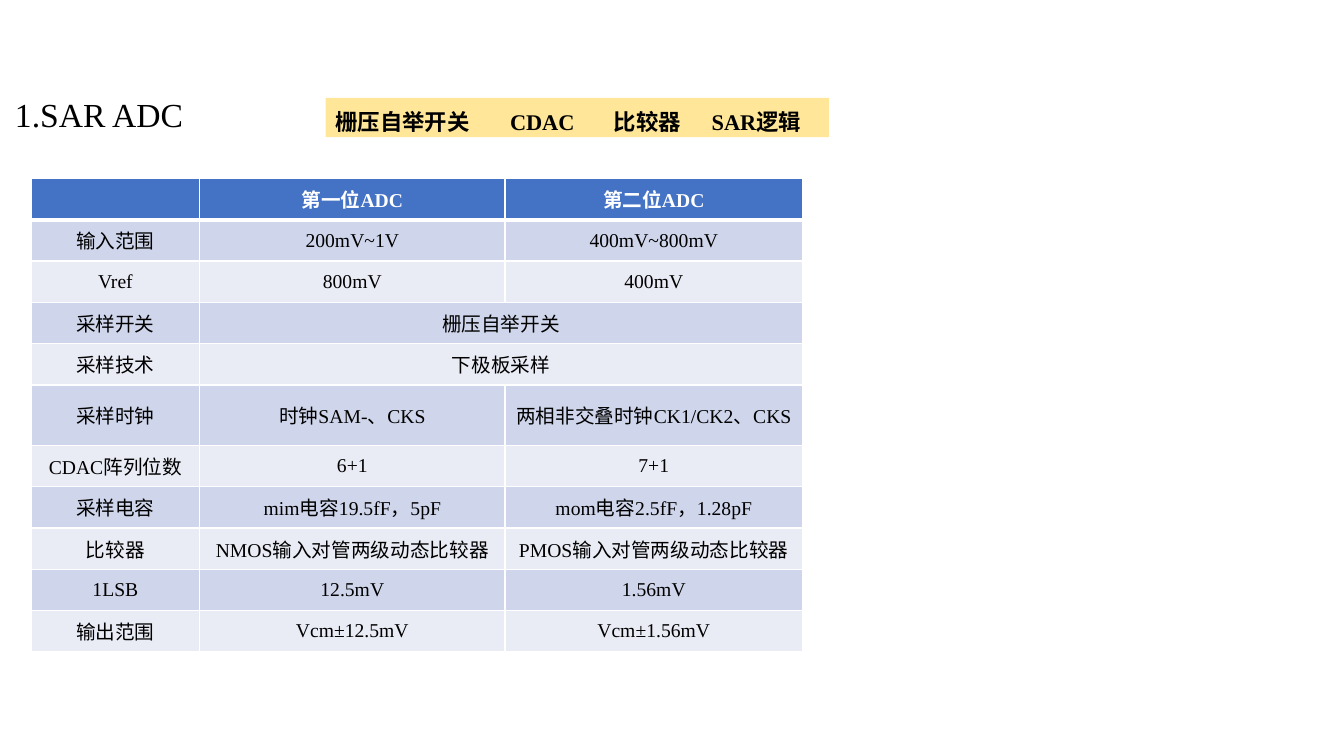
from pptx import Presentation
from pptx.dml.color import RGBColor
from pptx.enum.shapes import MSO_SHAPE
from pptx.enum.text import MSO_ANCHOR, PP_ALIGN
from pptx.oxml.ns import qn
from pptx.util import Inches, Pt
from lxml.etree import SubElement

FONT = "Times New Roman"
COLORS = {
    "text": "000000",
    "white": "FFFFFF",
    "header": "4472C4",
    "odd": "CFD5EA",
    "even": "E9EBF5",
    "banner": "FFE699",
}
COLUMN_WIDTHS = [1.67, 3.03, 2.95]
ROW_HEIGHT = 0.41
# A row with two entries shares its value between both ADCs
ADC_ROWS = [
    ["", "第一位ADC", "第二位ADC"],
    ["输入范围", "200mV~1V", "400mV~800mV"],
    ["Vref", "800mV", "400mV"],
    ["采样开关", "栅压自举开关"],
    ["采样技术", "下极板采样"],
    ["采样时钟", "时钟SAM-、CKS", "两相非交叠时钟CK1/CK2、CKS"],
    ["CDAC阵列位数", "6+1", "7+1"],
    ["采样电容", "mim电容19.5fF，5pF", "mom电容2.5fF，1.28pF"],
    ["比较器", "NMOS输入对管两级动态比较器", "PMOS输入对管两级动态比较器"],
    ["1LSB", "12.5mV", "1.56mV"],
    ["输出范围", "Vcm±12.5mV", "Vcm±1.56mV"],
]
BLOCKS = ["栅压自举开关", "CDAC", "比较器", "SAR逻辑"]
BLOCK_TABS = [1.73, 2.76, 3.73]


def rgb(name):
    return RGBColor.from_string(COLORS[name])


def add_run(paragraph, text, size, color="text", bold=False):
    run = paragraph.add_run()
    run.text = text
    run.font.name = FONT
    run.font.size = Pt(size)
    run.font.bold = bold
    run.font.color.rgb = rgb(color)


def add_title(slide, text):
    title = slide.shapes.add_textbox(Inches(0.05), Inches(0.88), Inches(3.29), Inches(0.5))
    title.text_frame.word_wrap = True
    paragraph = title.text_frame.paragraphs[0]
    paragraph.space_after = Pt(24)
    add_run(paragraph, text, 24)


def add_banner(slide, labels, tab_stops):
    banner = slide.shapes.add_shape(
        MSO_SHAPE.RECTANGLE, Inches(3.23), Inches(0.97), Inches(4.99), Inches(0.39))
    banner.shadow.inherit = False
    banner.fill.solid()
    banner.fill.fore_color.rgb = rgb("banner")
    banner.line.fill.background()
    frame = banner.text_frame
    frame.word_wrap = True
    frame.vertical_anchor = MSO_ANCHOR.TOP
    paragraph = frame.paragraphs[0]
    tabs = SubElement(paragraph._p.get_or_add_pPr(), qn("a:tabLst"))
    for stop in tab_stops:
        SubElement(tabs, qn("a:tab"), pos=str(Inches(stop)), algn="l")
    paragraph.alignment = PP_ALIGN.LEFT
    paragraph.line_spacing = 1.2
    add_run(paragraph, "\t".join(labels), 16, bold=True)


def set_borders(cell, top, bottom):
    properties = cell._tc.get_or_add_tcPr()
    for side, width in (("L", 1), ("R", 1), ("T", top), ("B", bottom)):
        border = SubElement(properties, qn(f"a:ln{side}"), w=str(Pt(width)))
        fill = SubElement(border, qn("a:solidFill"))
        SubElement(fill, qn("a:srgbClr"), val=COLORS["white"])


def style_cell(cell, row):
    # The line under the header is thicker than the rest
    set_borders(cell, top=3 if row == 1 else 1, bottom=3 if row == 0 else 1)
    cell.fill.solid()
    cell.fill.fore_color.rgb = rgb("header" if row == 0 else "odd" if row % 2 else "even")
    cell.vertical_anchor = MSO_ANCHOR.MIDDLE


def add_adc_table(slide, rows):
    table = slide.shapes.add_table(
        len(rows), len(COLUMN_WIDTHS), Inches(0.31), Inches(1.77),
        Inches(sum(COLUMN_WIDTHS)), Inches(ROW_HEIGHT * len(rows))).table
    for column, width in zip(table.columns, COLUMN_WIDTHS):
        column.width = Inches(width)
    for r, values in enumerate(rows):
        table.rows[r].height = Inches(ROW_HEIGHT)
        for c in range(len(COLUMN_WIDTHS)):
            style_cell(table.cell(r, c), r)
        if len(values) == 2:
            table.cell(r, 1).merge(table.cell(r, 2))
        for c, value in enumerate(values):
            paragraph = table.cell(r, c).text_frame.paragraphs[0]
            paragraph.alignment = PP_ALIGN.CENTER
            if value:
                add_run(paragraph, value, 14, "text" if r else "white", bold=r == 0)


def main():
    presentation = Presentation()
    presentation.slide_width = Inches(13.33)
    presentation.slide_height = Inches(7.5)
    slide = presentation.slides.add_slide(presentation.slide_layouts[6])

    # Comparison of the two converters
    add_adc_table(slide, ADC_ROWS)
    # Heading and the building blocks beside it
    add_title(slide, "1.SAR ADC")
    add_banner(slide, BLOCKS, BLOCK_TABS)

    presentation.save("out.pptx")


if __name__ == "__main__":
    main()
